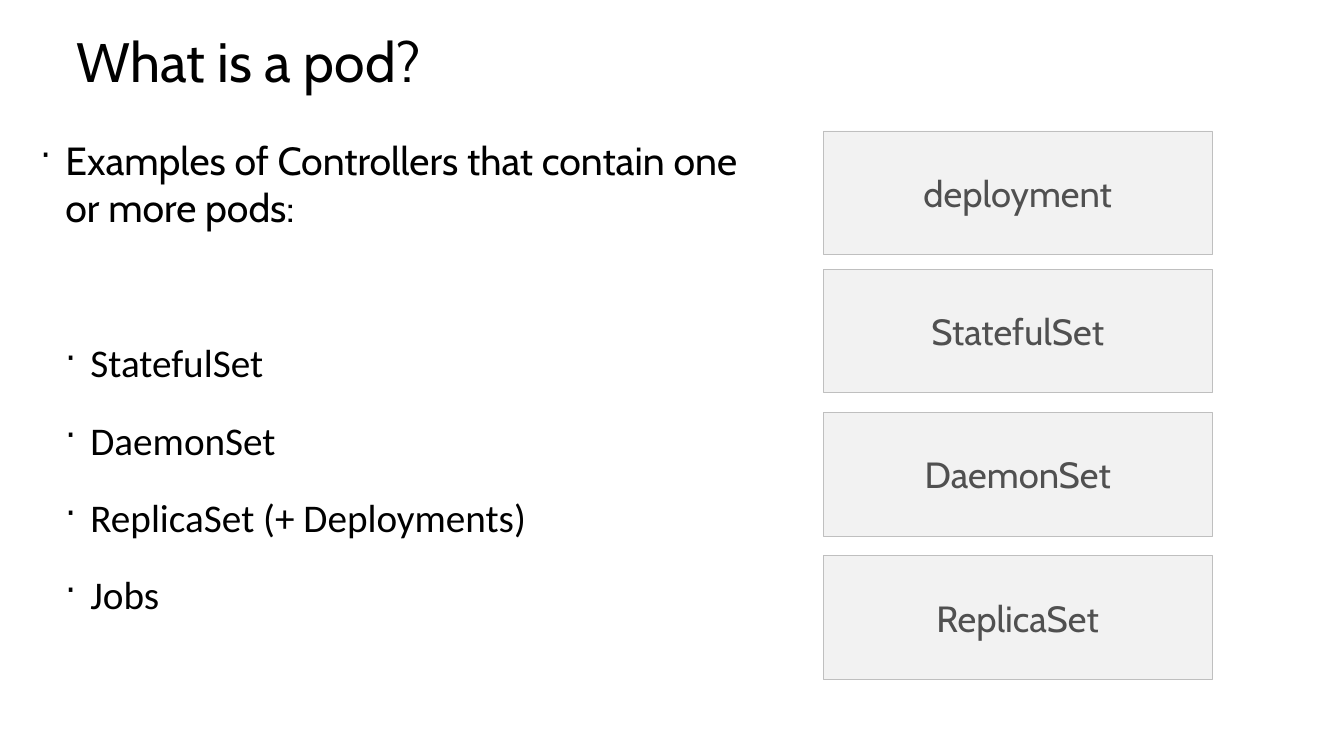
from lxml import etree
from pptx import Presentation
from pptx import util as u
from pptx.dml import color
from pptx.enum import shapes, text
from pptx.oxml import ns

HUES = {"ink": "000000", "label": "505050", "fill": "F2F2F2", "edge": "BFBFBF"}


def hue(name):
    return color.RGBColor.from_string(HUES[name])


def style(para, face, size, name):
    for run in para.runs:
        run.font.name = face
        run.font.size = u.Pt(size)
        run.font.color.rgb = hue(name)


def bullet(para, left):
    props = para._p.get_or_add_pPr()
    props.set("marL", str(u.Cm(left)))
    props.set("indent", str(-u.Cm(0.64)))
    etree.SubElement(props, ns.qn("a:buSzPct"), val="90000")
    etree.SubElement(props, ns.qn("a:buChar"), char="·")


def title(slide, box, words):
    frame = slide.shapes.add_textbox(*map(u.Cm, box)).text_frame
    frame.word_wrap = True
    frame.vertical_anchor = text.MSO_ANCHOR.MIDDLE
    para = frame.paragraphs[0]
    para.text = words
    para.line_spacing = 0.9
    style(para, "Cabin", 39.6, "ink")


def points(slide, box, lead, items):
    frame = slide.shapes.add_textbox(*map(u.Cm, box)).text_frame
    frame.word_wrap = True
    head = frame.paragraphs[0]
    head.text = lead
    bullet(head, 0.64)
    style(head, "Cabin", 28, "ink")
    for index, item in enumerate(items):
        para = frame.add_paragraph()
        para.text = item
        para.level = 1
        bullet(para, 1.27)
        para.line_spacing = 1.5
        para.space_before = u.Pt(4.8 if index else 60.8)
        style(para, "Calibri", 28, "ink")


def card(slide, box, words):
    shape = slide.shapes.add_shape(shapes.MSO_SHAPE.RECTANGLE, *map(u.Cm, box))
    shape.shadow.inherit = False
    shape.fill.solid()
    shape.fill.fore_color.rgb = hue("fill")
    shape.line.color.rgb = hue("edge")
    shape.line.width = u.Pt(0.5)
    frame = shape.text_frame
    frame.word_wrap = True
    frame.vertical_anchor = text.MSO_ANCHOR.MIDDLE
    frame.margin_left = frame.margin_right = u.Cm(0.41)
    frame.margin_top = frame.margin_bottom = u.Cm(0.41)
    para = frame.paragraphs[0]
    para.text = words
    para.alignment = text.PP_ALIGN.CENTER
    style(para, "Cabin", 26, "label")


def stack(slide, box, cards):
    left, top, width, height = box
    for drop, words in cards:
        card(slide, (left, top + drop, width, height), words)


def main():
    deck = Presentation()
    deck.slide_width, deck.slide_height = u.Cm(33.87), u.Cm(19.05)
    slide = deck.slides.add_slide(deck.slide_layouts[6])
    points(slide, (0.76, 3.3, 18.08, 11.66),
           "Examples of Controllers that contain one or more pods:",
           ["StatefulSet", "DaemonSet", "ReplicaSet (+ Deployments)", "Jobs"])
    title(slide, (1.68, 0.84, 32.11, 1.55), "What is a pod?")
    stack(slide, (20.75, 3.3, 9.8, 3.12),
          [(0, "deployment"), (3.48, "StatefulSet"),
           (7.09, "DaemonSet"), (10.7, "ReplicaSet")])
    deck.save("out.pptx")


if __name__ == "__main__":
    main()
